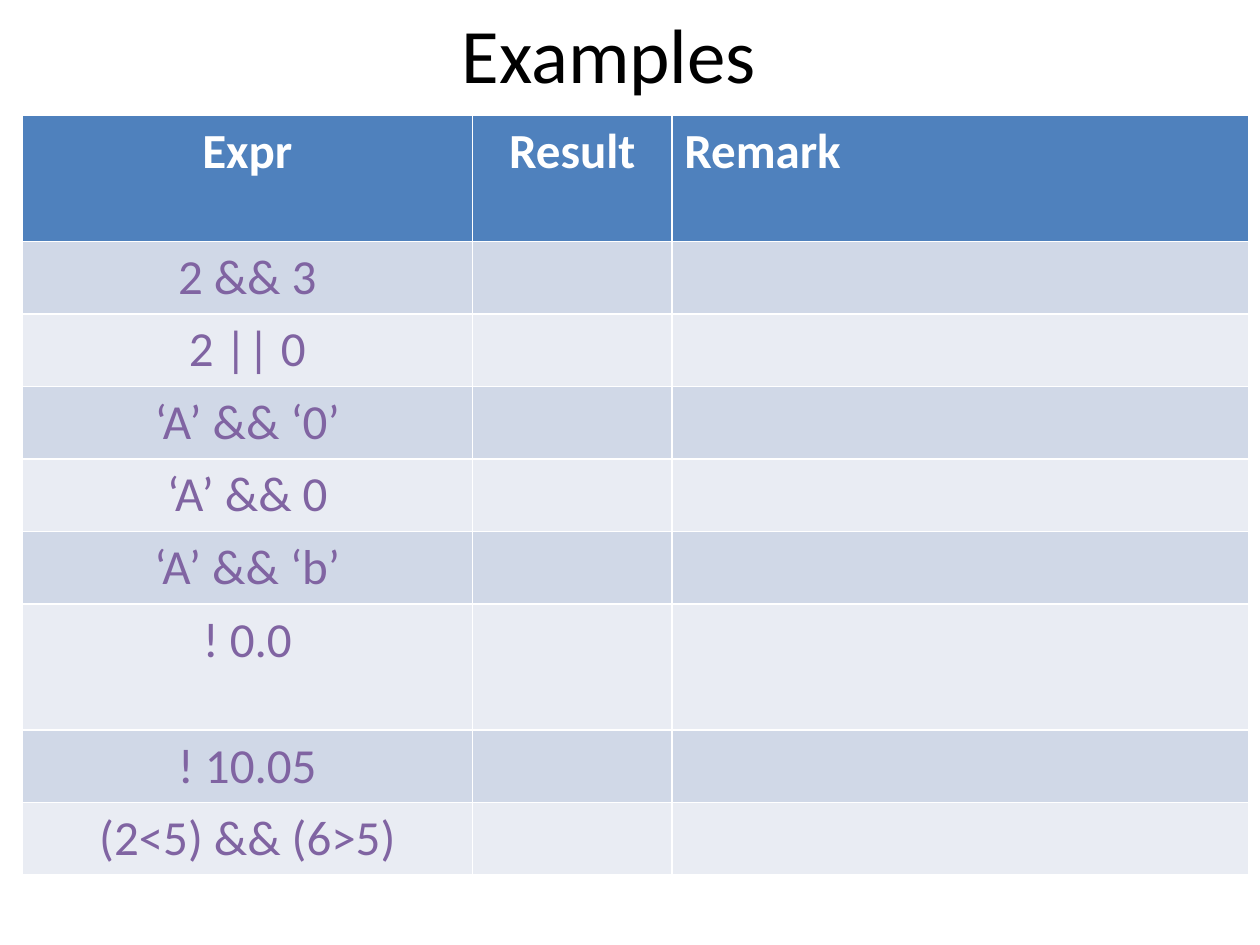
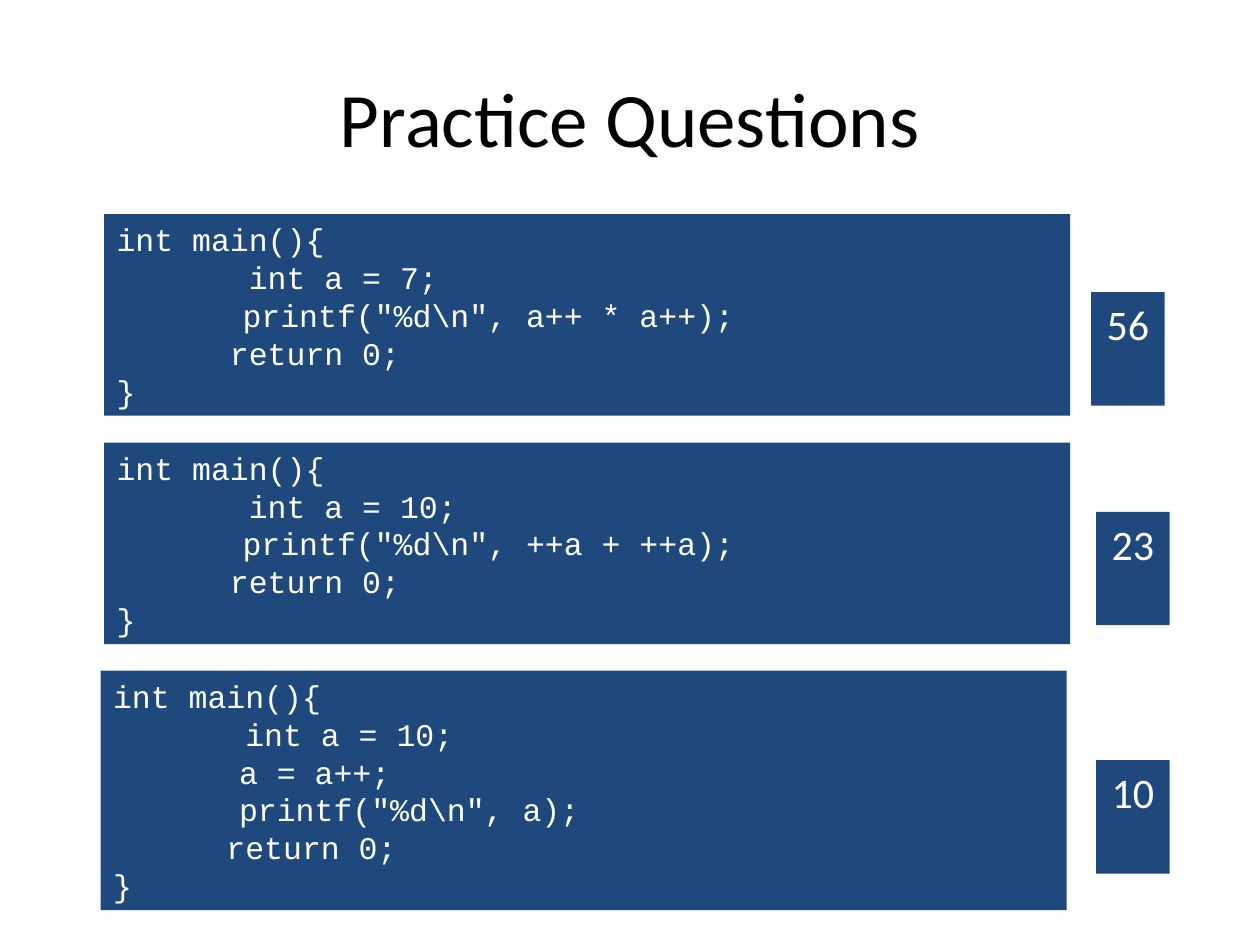
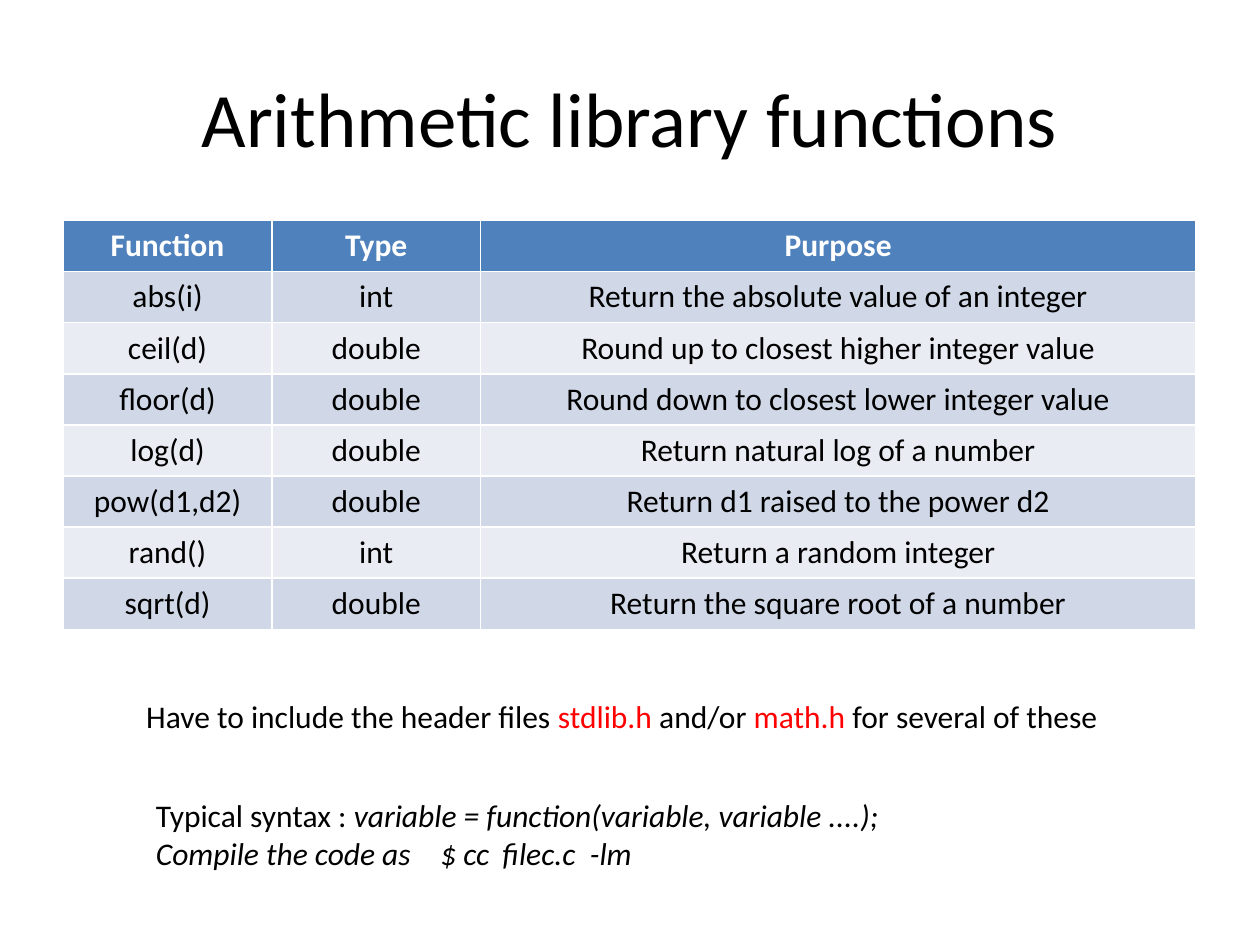
from dataclasses import dataclass
from typing import Any, Optional

import lxml.etree
import pptx
import pptx.dml.color
import pptx.enum.shapes
import pptx.enum.text
import pptx.oxml.ns
import pptx.util

Pt = pptx.util.Pt
ALIGN = pptx.enum.text.PP_ALIGN
ANCHOR = pptx.enum.text.MSO_ANCHOR

# Shared style
COLORS = {
    "black": "000000",
    "white": "FFFFFF",
    "red": "FF0000",
    "purple": "8064A2",
    "header": "4F81BD",
    "band_dark": "D0D8E7",
    "band_light": "E9ECF3",
    "code": "1F497D",
}
BODY_FONT = "Calibri"
CODE_FONT = "Courier New"
BORDER_WIDTH = Pt(0.96)


@dataclass(frozen=True)
class Box:
    left: float
    top: float
    width: float
    height: float

    def lengths(self) -> tuple:
        return Pt(self.left), Pt(self.top), Pt(self.width), Pt(self.height)


@dataclass(frozen=True)
class Grid:
    left: float
    top: float
    columns: tuple[float, ...]
    heights: tuple[float, ...]
    rows: tuple[tuple[str, ...], ...]
    aligns: tuple[Any, ...]
    size: float
    body_color: str


@dataclass(frozen=True)
class Question:
    code_box: Box
    statements: tuple[tuple[float, str], ...]  # indent in points, code
    answer: str
    answer_box: Box


TITLE_BOX = Box(36, 21.6, 648, 90)


# Text and drawing helpers
def rgb(name: str) -> pptx.dml.color.RGBColor:
    return pptx.dml.color.RGBColor.from_string(COLORS[name])


def add_text(paragraph: Any, text: str, *, size: float = 18, color: str = "black",
             font: str = BODY_FONT, bold: bool = False, italic: bool = False,
             align: Optional[Any] = None, indent: float = 0) -> None:
    run = paragraph.add_run()
    run.text = text
    run.font.size = Pt(size)
    run.font.name = font
    run.font.bold = bold
    run.font.italic = italic
    run.font.color.rgb = rgb(color)
    if align is not None:
        paragraph.alignment = align
    if indent:
        paragraph._p.get_or_add_pPr().set("marL", str(Pt(indent)))


def set_tab_stops(paragraph: Any, stops: tuple[float, ...]) -> None:
    tag = pptx.oxml.ns.qn
    tab_list = lxml.etree.SubElement(paragraph._p.get_or_add_pPr(), tag("a:tabLst"))
    for stop in stops:
        lxml.etree.SubElement(tab_list, tag("a:tab"), pos=str(Pt(stop)), algn="l")


def add_titled_slide(deck: Any, title: str, box: Box = TITLE_BOX) -> Any:
    slide = deck.slides.add_slide(deck.slide_layouts[5])
    heading = slide.shapes.title
    heading.left, heading.top, heading.width, heading.height = box.lengths()
    heading.text_frame.vertical_anchor = ANCHOR.MIDDLE
    add_text(heading.text_frame.paragraphs[0], title, size=44, align=ALIGN.CENTER)
    return slide


def add_panel(slide: Any, box: Box) -> Any:
    panel = slide.shapes.add_shape(pptx.enum.shapes.MSO_SHAPE.RECTANGLE, *box.lengths())
    panel.shadow.inherit = False
    panel.fill.solid()
    panel.fill.fore_color.rgb = rgb("code")
    panel.line.fill.background()
    panel.text_frame.word_wrap = True
    panel.text_frame.vertical_anchor = ANCHOR.TOP
    return panel.text_frame


def add_note(slide: Any, box: Box) -> Any:
    frame = slide.shapes.add_textbox(*box.lengths()).text_frame
    frame.word_wrap = True
    return frame


def add_cell_borders(cell: Any) -> None:
    tag = pptx.oxml.ns.qn
    properties = cell._tc.get_or_add_tcPr()
    for side in ("lnL", "lnR", "lnT", "lnB"):
        edge = lxml.etree.SubElement(properties, tag(f"a:{side}"), w=str(BORDER_WIDTH))
        fill = lxml.etree.SubElement(edge, tag("a:solidFill"))
        lxml.etree.SubElement(fill, tag("a:srgbClr"), val=COLORS["white"])


def add_grid(slide: Any, grid: Grid) -> None:
    box = Box(grid.left, grid.top, sum(grid.columns), sum(grid.heights))
    table = slide.shapes.add_table(
        len(grid.rows), len(grid.columns), *box.lengths()).table
    for column, width in zip(table.columns, grid.columns):
        column.width = Pt(width)
    for r, (texts, height) in enumerate(zip(grid.rows, grid.heights)):
        table.rows[r].height = Pt(height)
        is_header = r == 0
        band = "header" if is_header else ("band_light", "band_dark")[r % 2]
        for c, (text, align) in enumerate(zip(texts, grid.aligns)):
            cell = table.cell(r, c)
            add_cell_borders(cell)
            cell.fill.solid()
            cell.fill.fore_color.rgb = rgb(band)
            if text:
                add_text(cell.text_frame.paragraphs[0], text, size=grid.size,
                         color="white" if is_header else grid.body_color,
                         bold=is_header, align=align)


def add_question(slide: Any, question: Question) -> None:
    code = add_panel(slide, question.code_box)
    for i, (indent, statement) in enumerate(question.statements):
        paragraph = code.add_paragraph() if i else code.paragraphs[0]
        add_text(paragraph, statement, font=CODE_FONT, color="white",
                 align=ALIGN.LEFT, indent=indent)
    answer = add_panel(slide, question.answer_box)
    add_text(answer.paragraphs[0], question.answer, size=24, color="white",
             align=ALIGN.CENTER)


# Content
EXPRESSIONS = ("2 && 3", "2 || 0", "‘A’ && ‘0’", "‘A’ && 0", "‘A’ && ‘b’",
               "! 0.0", "! 10.05", "(2<5) && (6>5)")
EXPRESSION_GRID = Grid(
    left=12.5, top=66,
    columns=(257.6, 113.8, 329.8),
    heights=(72,) + (39.6,) * 5 + (72,) + (39.6,) * 2,
    rows=(("Expr", "Result", "Remark"),) + tuple((e, "", "") for e in EXPRESSIONS),
    aligns=(ALIGN.CENTER, ALIGN.CENTER, ALIGN.LEFT),
    size=28, body_color="purple",
)

FUNCTION_ROWS = (
    ("Function", "Type", "Purpose"),
    ("abs(i)", "int", "Return the absolute value of an integer"),
    ("ceil(d)", "double", "Round up to closest higher integer value"),
    ("floor(d)", "double", "Round down to closest lower integer value"),
    ("log(d)", "double", "Return natural log of a number"),
    ("pow(d1,d2)", "double", "Return d1 raised to the power d2"),
    ("rand()", "int", "Return a random integer"),
    ("sqrt(d)", "double", "Return the square root of a number"),
)
FUNCTION_GRID = Grid(
    left=36, top=126,
    columns=(119.5, 119, 409),
    heights=(29.2,) * len(FUNCTION_ROWS),
    rows=FUNCTION_ROWS,
    aligns=(ALIGN.CENTER,) * 3,
    size=18, body_color="black",
)


def program(start: int, *body: str) -> tuple[tuple[float, str], ...]:
    return (
        (0, "int main(){"),
        (75.6, f"int a = {start};"),
        *((72, statement) for statement in body),
        (64.8, "return 0;"),
        (0, "}"),
    )


QUESTIONS = (
    Question(Box(59.5, 122.4, 552, 115.2), program(7, r'printf("%d\n", a++ * a++);'),
             "56", Box(623.5, 167, 42, 64.8)),
    Question(Box(59.5, 253, 552, 115.2), program(10, r'printf("%d\n", ++a + ++a);'),
             "23", Box(626.4, 292.5, 42, 64.8)),
    Question(Box(57.5, 383.3, 552, 136.8),
             program(10, "a = a++;", r'printf("%d\n", a);'),
             "10", Box(626.4, 434.4, 42, 64.8)),
)


# Slides
def build_examples(deck: Any) -> None:
    slide = add_titled_slide(deck, "Examples", Box(42, 0, 612, 60))
    add_grid(slide, EXPRESSION_GRID)


def build_practice(deck: Any) -> None:
    slide = add_titled_slide(deck, "Practice Questions")
    for question in QUESTIONS:
        add_question(slide, question)


def build_library(deck: Any) -> None:
    slide = add_titled_slide(deck, "Arithmetic library functions")
    add_grid(slide, FUNCTION_GRID)

    headers = add_note(slide, Box(76.5, 394.5, 601, 50.4)).paragraphs[0]
    for text, color in (("Have to include the header files ", "black"),
                        ("stdlib.h", "red"), (" and/or ", "black"),
                        ("math.h", "red"), (" for several of these", "black")):
        add_text(headers, text, color=color)

    usage = add_note(slide, Box(82, 451.4, 561.6, 29))
    syntax = usage.paragraphs[0]
    add_text(syntax, "Typical syntax : ")
    add_text(syntax, "variable = function(variable, variable ....);", italic=True)
    compilation = usage.add_paragraph()
    set_tab_stops(compilation, (162.5, 198, 248))
    add_text(compilation, "Compile the code as\t$ cc\tfilec.c\t-lm", italic=True)


def main() -> None:
    deck = pptx.Presentation()
    deck.slide_width, deck.slide_height = Pt(720), Pt(540)
    build_examples(deck)
    build_practice(deck)
    build_library(deck)
    deck.save("out.pptx")


if __name__ == "__main__":
    main()
